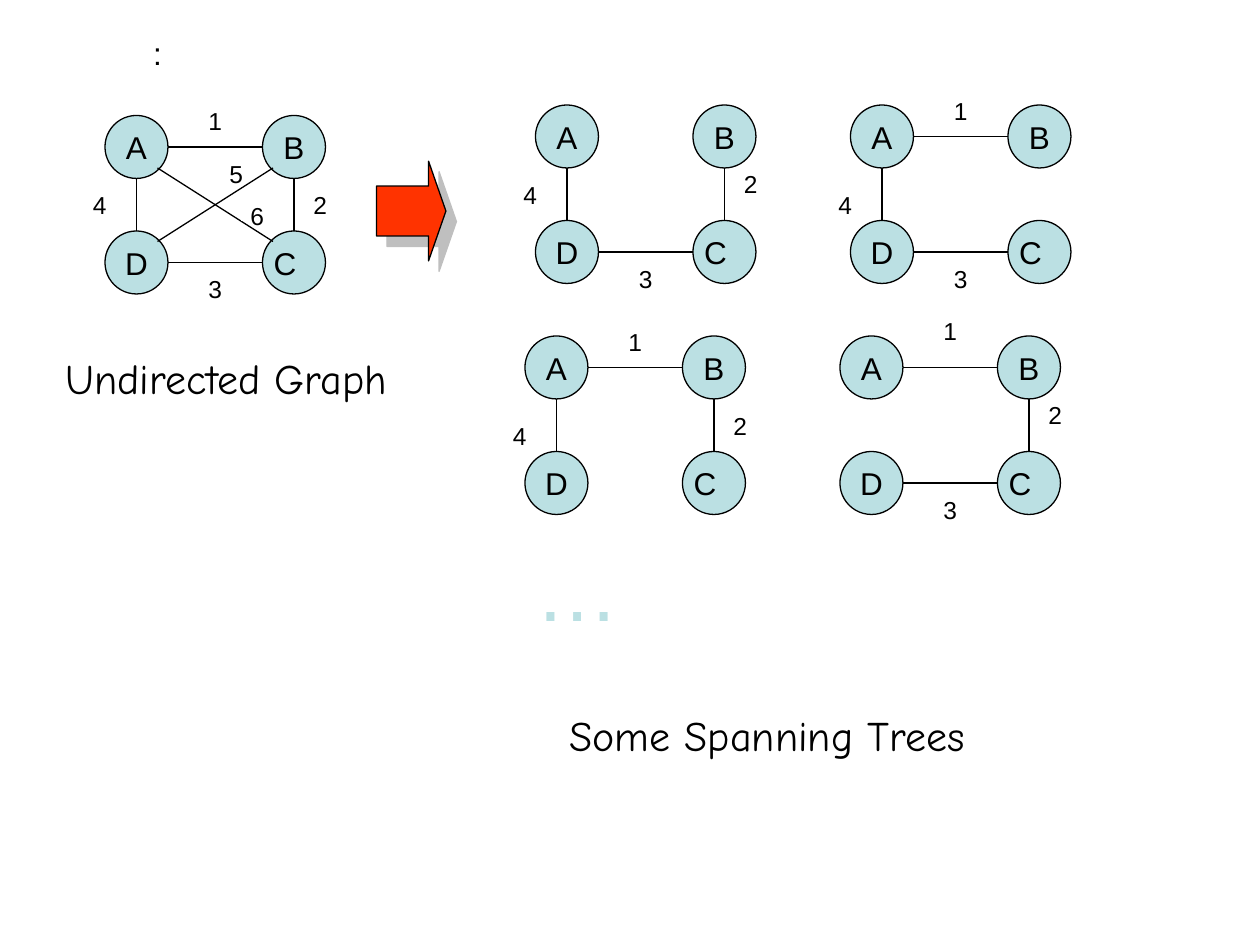
from lxml.etree import SubElement
from pptx import Presentation
from pptx.dml.color import RGBColor
from pptx.enum.shapes import MSO_CONNECTOR, MSO_SHAPE
from pptx.enum.text import MSO_ANCHOR, PP_ALIGN
from pptx.oxml.ns import qn
from pptx.util import Cm, Pt

BLACK = RGBColor(0x00, 0x00, 0x00)
WHITE = RGBColor(0xFF, 0xFF, 0xFF)
NODE_BLUE = RGBColor(0xBB, 0xE0, 0xE3)
ARROW_RED = RGBColor(0xFF, 0x33, 0x00)
SHADOW_GREY = RGBColor(0x80, 0x80, 0x80)

# Content. Graph positions are in grid steps, twelve to the inch.
NODES = {"A": (0, 0), "D": (0, 1), "C": (1, 1), "B": (1, 0)}  # column, row
EDGES = {1: "AB", 2: "BC", 3: "DC", 4: "AD", 5: "DB", 6: "AC"}
# Left, top and height of each weight label, from the graph's corner
WEIGHT_SPOTS = {1: (9, -1, 3), 2: (19, 7, 3), 3: (9, 15, 3),
                4: (-2, 7, 3), 5: (11, 5, 1), 6: (13, 9, 1)}
# Corner, weights of the edges present, vertical label nudges
GRAPHS = [
    ((10, 11), (1, 2, 3, 4, 5, 6), {}),
    ((51, 10), (2, 3, 4), {2: -1}),
    ((81, 10), (1, 3, 4), {4: 1}),
    ((50, 32), (1, 2, 4), {4: 1}),
    ((80, 32), (1, 2, 3), {1: -1, 2: -1}),
]
CAPTIONS = [
    ("Undirected Graph", 1.07, 6.98, 8.0),
    ("Some Spanning Trees", 11.23, 14.17, 9.86),
]

DIAMETER, COLUMN_PITCH, ROW_PITCH = 6, 15, 11
RADIUS, DIAGONAL_REACH = DIAMETER / 2, 2
LABEL_WIDTH = 3
C_RIGHT_INSET = 0.36  # sets the letter C left of the centre


def grid(steps):
    return Cm(steps * 2.54 / 12)


prs = Presentation()
prs.slide_width, prs.slide_height = Cm(25.4), Cm(19.05)
slide = prs.slides.add_slide(prs.slide_layouts[6])


def style_text(frame, text, size, color=BLACK, font="Arial"):
    frame.text = text
    run_font = frame.paragraphs[0].runs[0].font
    run_font.name, run_font.size = font, Pt(size)
    run_font.color.rgb = color


def add_figure(kind, left, top, width, height, fill, line):
    figure = slide.shapes.add_shape(kind, left, top, width, height)
    figure.shadow.inherit = False
    figure.fill.solid()
    figure.fill.fore_color.rgb = fill
    figure.line.color.rgb = line
    figure.line.width = Pt(0.75)
    return figure


def add_label(text, size, left, top, width, height, color=BLACK,
              kind=MSO_SHAPE.RECTANGLE, fill=WHITE, line=WHITE, right_inset=0):
    label = add_figure(kind, grid(left), grid(top), grid(width), grid(height), fill, line)
    frame = label.text_frame
    frame.word_wrap = False
    frame.vertical_anchor = MSO_ANCHOR.MIDDLE
    frame.margin_left = frame.margin_top = frame.margin_bottom = 0
    frame.margin_right = Cm(right_inset)
    style_text(frame, text, size, color)
    frame.paragraphs[0].alignment = PP_ALIGN.CENTER


def node_corner(corner, name):
    column, row = NODES[name]
    return corner[0] + column * COLUMN_PITCH, corner[1] + row * ROW_PITCH


def add_edge(corner, ends):
    """Line between the rims of two nodes, straight or diagonal."""
    (c1, r1), (c2, r2) = (NODES[name] for name in ends)
    dx, dy = c2 - c1, r2 - r1
    reach = DIAGONAL_REACH if dx and dy else RADIUS
    (x1, y1), (x2, y2) = (node_corner(corner, name) for name in ends)
    points = (x1 + RADIUS + reach * dx, y1 + RADIUS + reach * dy,
              x2 + RADIUS - reach * dx, y2 + RADIUS - reach * dy)
    edge = slide.shapes.add_connector(MSO_CONNECTOR.STRAIGHT, *map(grid, points))
    edge.line.color.rgb = BLACK
    edge.line.width = Pt(0.75)
    SubElement(edge._element.spPr, qn("a:effectLst"))


# Captions
for text, left, top, width in CAPTIONS:
    caption = slide.shapes.add_textbox(Cm(left), Cm(top), Cm(width), Cm(1.27))
    caption.text_frame.word_wrap = True
    style_text(caption.text_frame, text, 24, font="Comic Neue")

# Red arrow with its offset shadow
arrow = add_figure(MSO_SHAPE.RIGHT_ARROW, Cm(7.59), Cm(3.25), Cm(1.4), Cm(2.01),
                   ARROW_RED, BLACK)
arrow.adjustments[1] = 0.25
effects = arrow._element.spPr.find(qn("a:effectLst"))
shadow = SubElement(effects, qn("a:outerShdw"), dist=str(Pt(8.5)),
                    dir=str(45 * 60000), algn="ctr", rotWithShape="0")
shadow_color = SubElement(shadow, qn("a:srgbClr"), val=str(SHADOW_GREY))
SubElement(shadow_color, qn("a:alpha"), val="50000")

# Colon at the top
add_label(":", 18, 12, 3, 6, 4)

# Graphs: nodes, edges, weights
for corner, weights, nudges in GRAPHS:
    for name in NODES:
        add_label(name, 18, *node_corner(corner, name), DIAMETER, DIAMETER,
                  kind=MSO_SHAPE.OVAL, fill=NODE_BLUE, line=BLACK,
                  right_inset=C_RIGHT_INSET if name == "C" else 0)
    for weight in weights:
        add_edge(corner, EDGES[weight])
    for weight in weights:
        dx, dy, height = WEIGHT_SPOTS[weight]
        add_label(str(weight), 14, corner[0] + dx,
                  corner[1] + dy + nudges.get(weight, 0), LABEL_WIDTH, height)

# More trees follow
add_label("…", 48, 47, 53, 16, 6, NODE_BLUE)

prs.save("out.pptx")
